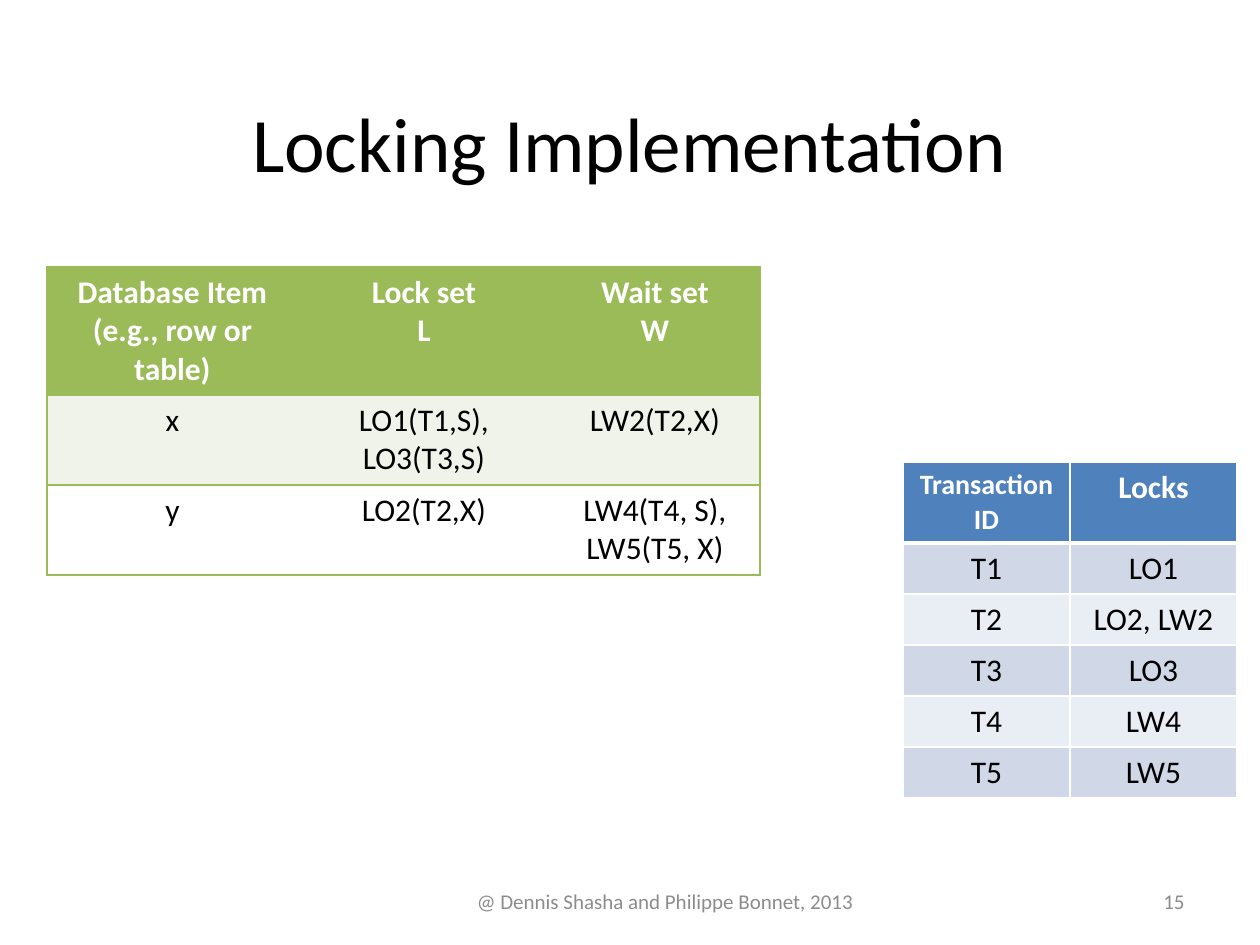
from lxml import etree
from pptx import Presentation
from pptx.dml.color import RGBColor
from pptx.enum.text import MSO_ANCHOR, PP_ALIGN
from pptx.oxml.ns import qn
from pptx.util import Emu, Pt

SCALE = 914400 / 126
FONT = "Calibri"
BLACK = RGBColor(0x00, 0x00, 0x00)
WHITE = RGBColor(0xFF, 0xFF, 0xFF)
GREY = RGBColor(0x8C, 0x8C, 0x8C)
GREEN = RGBColor(0x9B, 0xBB, 0x59)
PALE_GREEN = RGBColor(0xEF, 0xF3, 0xEA)
BLUE = RGBColor(0x4F, 0x81, 0xBD)
BLUE_BAND = RGBColor(0xD0, 0xD8, 0xE8)
PALE_BLUE = RGBColor(0xE9, 0xED, 0xF4)

LOCK_ROWS = [
    ["Database Item (e.g., row or table)", "Lock set\vL", "Wait set\nW"],
    ["x", "LO1(T1,S), LO3(T3,S)", "LW2(T2,X)"],
    ["y", "LO2(T2,X)", "LW4(T4, S), LW5(T5, X)"],
]
TRANSACTION_ROWS = [
    ["Transaction\nID", "Locks"],
    ["T1", "LO1"],
    ["T2", "LO2, LW2"],
    ["T3", "LO3"],
    ["T4", "LW4"],
    ["T5", "LW5"],
]


def px(n):
    return Emu(round(n * SCALE))


class Deck:
    """Holds the style and the current slide, and adds elements to it."""

    def __init__(self):
        self.prs = Presentation()
        self.prs.slide_width, self.prs.slide_height = px(1260), px(945)
        self.s = self.prs.slides.add_slide(self.prs.slide_layouts[5])

    def add_runs(self, tf, text, size, color, bold=False, align=PP_ALIGN.CENTER):
        for i, para in enumerate(text.split("\n")):
            p = tf.paragraphs[0] if i == 0 else tf.add_paragraph()
            p.alignment = align
            for j, line in enumerate(para.split("\v")):
                if j:
                    p.add_line_break()
                r = p.add_run()
                r.text = line
                r.font.name, r.font.size = FONT, Pt(size)
                r.font.bold, r.font.color.rgb = bold, color

    def title(self, text, x, y, w, h):
        sp = self.s.shapes.title
        sp.left, sp.top, sp.width, sp.height = px(x), px(y), px(w), px(h)
        sp.text_frame.vertical_anchor = MSO_ANCHOR.MIDDLE
        self.add_runs(sp.text_frame, text, 44, BLACK)

    def text(self, text, x, y, w, h, align=PP_ALIGN.CENTER):
        tf = self.s.shapes.add_textbox(px(x), px(y), px(w), px(h)).text_frame
        tf.word_wrap = True
        tf.vertical_anchor = MSO_ANCHOR.MIDDLE
        self.add_runs(tf, text, 12, GREY, align=align)

    def border(self, cell, widths, color):
        tc_pr = cell._tc.get_or_add_tcPr()
        for i, (side, width) in enumerate(zip("LRTB", widths)):
            ln = etree.Element(qn(f"a:ln{side}"), w=str(Pt(width)))
            if width:
                fill = etree.SubElement(ln, qn("a:solidFill"))
                etree.SubElement(fill, qn("a:srgbClr"), val=str(color))
            else:
                etree.SubElement(ln, qn("a:noFill"))
            tc_pr.insert(i, ln)

    def table(self, rows, x, y, widths, heights, head, bands, line, grid, small=()):
        frame = self.s.shapes.add_table(
            len(rows), len(widths), px(x), px(y), px(sum(widths)), px(sum(heights)))
        tbl = frame.table
        tbl.first_row = tbl.horz_banding = False
        for col, width in zip(tbl.columns, widths):
            col.width = px(width)
        for row, height in zip(tbl.rows, heights):
            row.height = px(height)
        for i, row in enumerate(rows):
            for j, text in enumerate(row):
                cell = tbl.cell(i, j)
                cell.fill.solid()
                cell.fill.fore_color.rgb = bands[(i - 1) % 2] if i else head
                self.add_runs(cell.text_frame, text, 16 if (i, j) in small else 18,
                              BLACK if i else WHITE, bold=i == 0)
                left = 1 if grid or j == 0 else 0
                right = 1 if grid or j == len(row) - 1 else 0
                top = 3 if grid and i == 1 else 1
                bottom = 3 if grid and i == 0 else 1
                self.border(cell, (left, right, top, bottom), line)


def main():
    deck = Deck()
    deck.text("15", 903, 876, 294, 50, PP_ALIGN.RIGHT)
    deck.title("Locking Implementation", 94, 63, 1071, 158)
    deck.text("@ Dennis Shasha and Philippe Bonnet, 2013 ", 431, 876, 473, 50)
    deck.table(LOCK_ROWS, 47, 267, [251, 252, 210], [128, 90, 90],
               GREEN, (PALE_GREEN, WHITE), GREEN, grid=False)
    deck.table(TRANSACTION_ROWS, 903, 462, [167] * 2, [81] + [51] * 5,
               BLUE, (BLUE_BAND, PALE_BLUE), WHITE, grid=True, small={(0, 0)})
    deck.prs.save("out.pptx")


if __name__ == "__main__":
    main()
